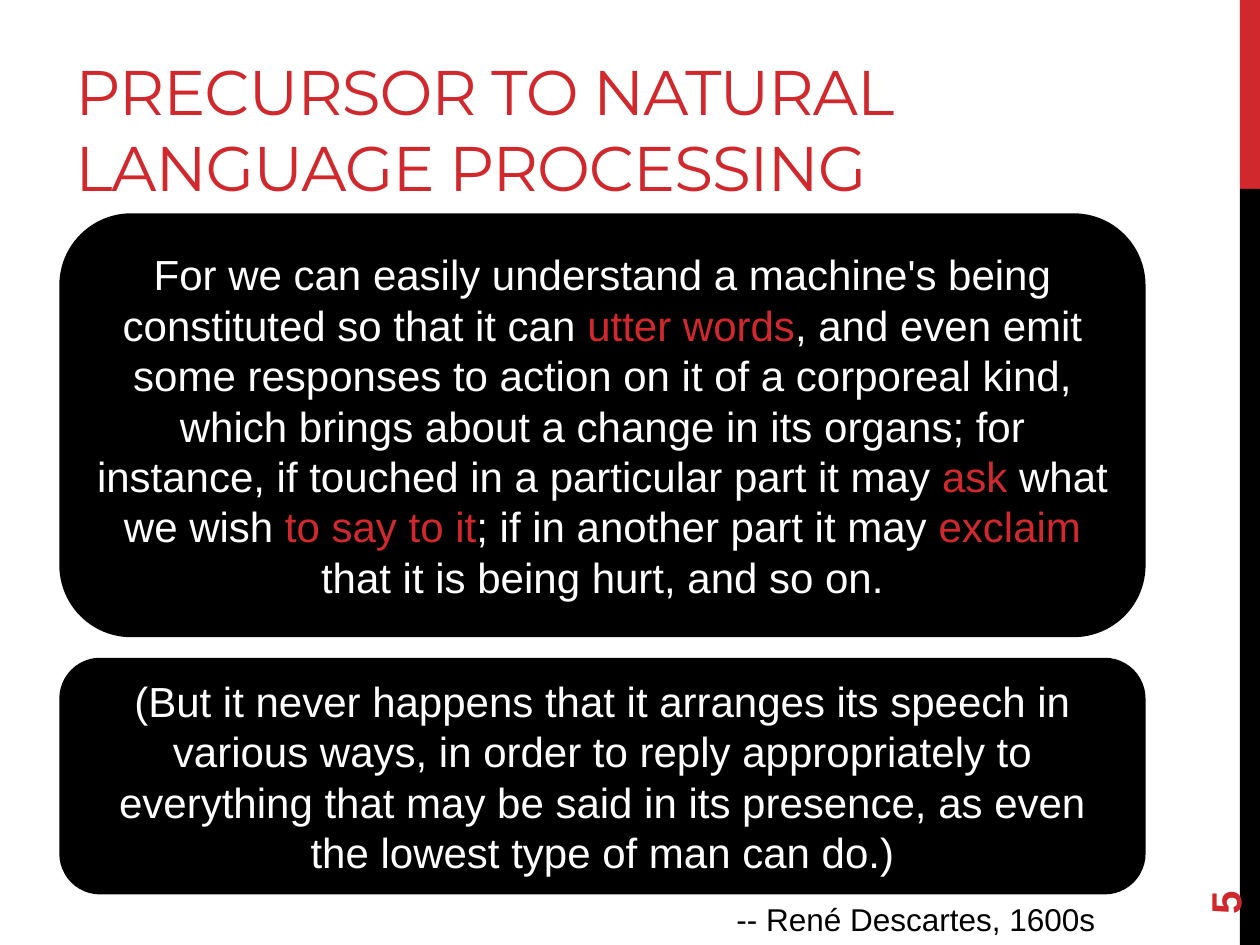
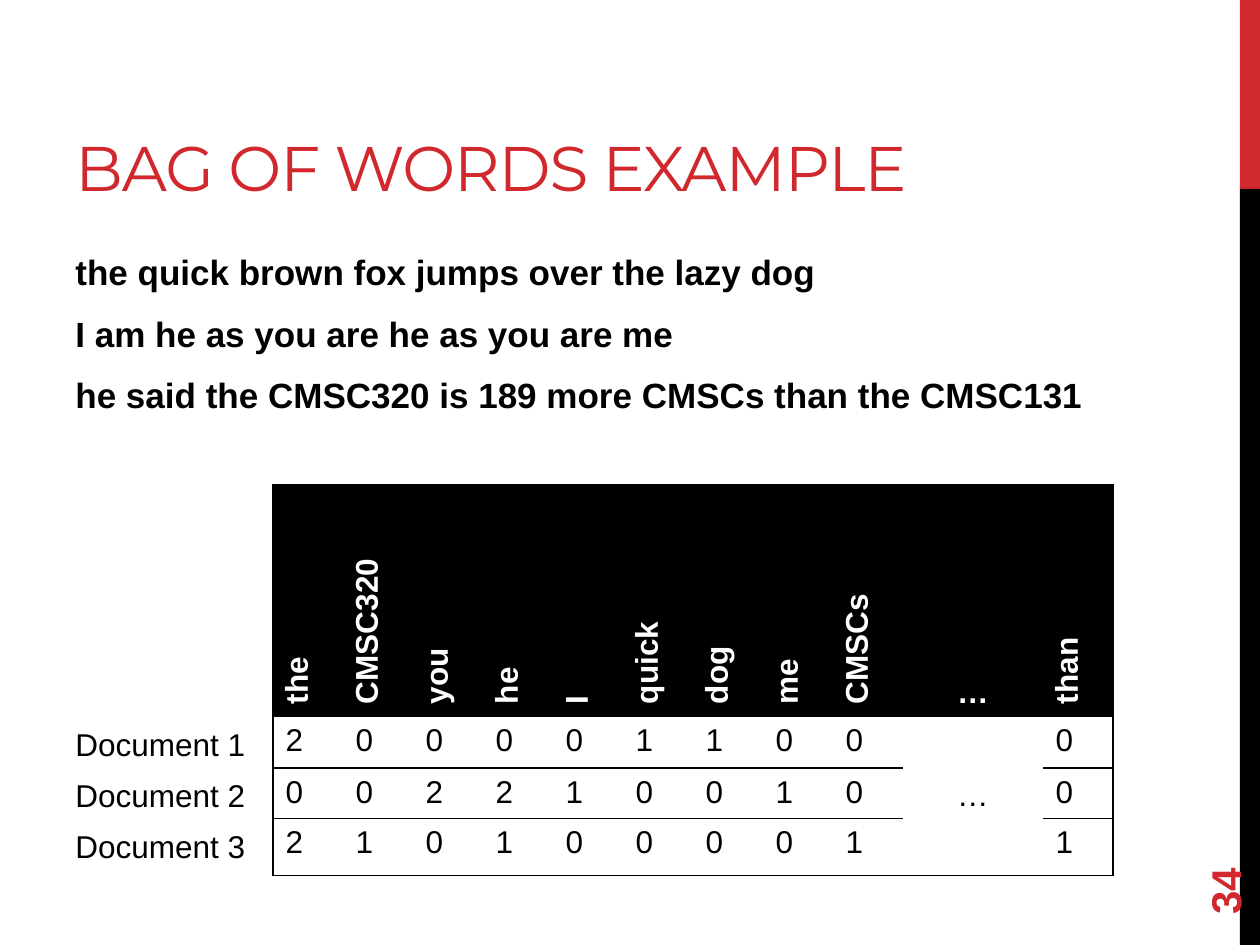
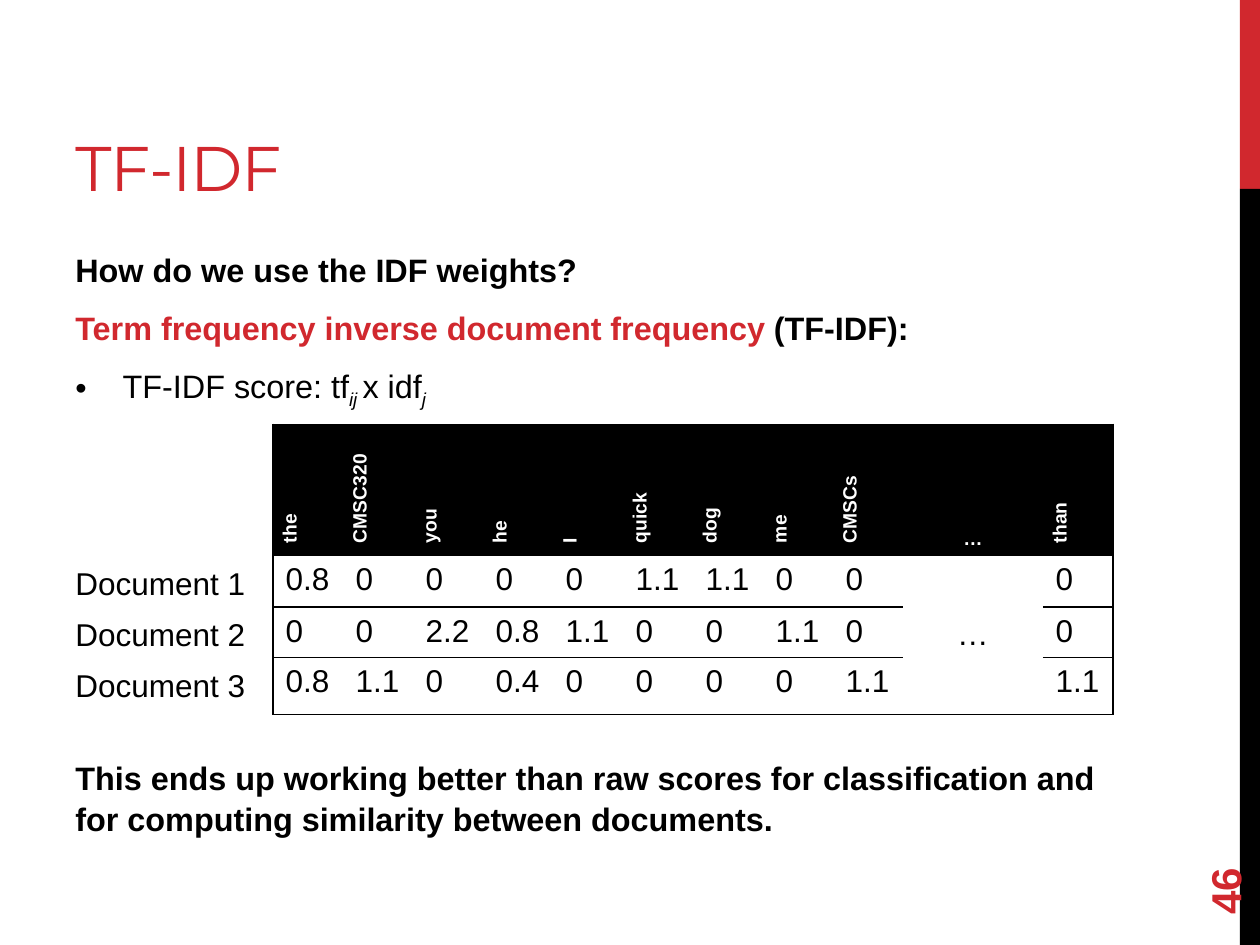
from collections import namedtuple

from lxml.etree import SubElement
from pptx import Presentation
from pptx.dml.color import RGBColor
from pptx.enum.shapes import MSO_SHAPE
from pptx.enum.text import MSO_ANCHOR, PP_ALIGN
from pptx.oxml.ns import qn
from pptx.util import Pt

Box = namedtuple("Box", "left top width height")

RED, BLACK, WHITE = "D1282E", "000000", "FFFFFF"
SLIDE = Box(0, 0, 720, 540)
BAND_WIDTH, BAND_SPLIT = 11.5, 108
CONTENT = Box(36, 138.5, 600, 344)
PLAIN_TABLE_STYLE = "{2D5ABB26-0587-4C30-8999-92F81FD0307C}"

WORDS = ["the", "CMSC320", "you", "he", "I", "quick", "dog", "me", "CMSCs", "…", "than"]
GAP = WORDS.index("…")
WORD_WIDTH = 40
COUNT_HEIGHTS = [29.5, 28, 32.5]
LABEL_WIDTH, LABEL_HEIGHT, LABEL_STEP = 114.5, 29, 29.1
TABLE_INDENT = 120

RAW_COUNTS = [
    [2, 0, 0, 0, 0, 1, 1, 0, 0, "…", 0],
    [0, 0, 2, 2, 1, 0, 0, 1, 0, "", 0],
    [2, 1, 0, 1, 0, 0, 0, 0, 1, "", 1],
]
TFIDF_SCORES = [
    [0.8, 0, 0, 0, 0, 1.1, 1.1, 0, 0, "…", 0],
    [0, 0, 2.2, 0.8, 1.1, 0, 0, 1.1, 0, "", 0],
    [0.8, 1.1, 0, 0.4, 0, 0, 0, 0, 1.1, "", 1.1],
]


def colour(value):
    return RGBColor.from_string(value)


def apply_format(target, values):
    for name, value in values.items():
        setattr(target, name, value)


def place(box):
    return [Pt(length) for length in box]


def write_runs(paragraph, runs, size, ink=BLACK, bold=False, face="Arial"):
    for text, changes in runs:
        style = {"ink": ink, "bold": bold, "italic": False, "baseline": 0, "spc": 0, **changes}
        run = paragraph.add_run()
        run.text = text
        apply_format(run.font, {"name": face, "size": Pt(size),
                                "bold": style["bold"], "italic": style["italic"]})
        run.font.color.rgb = colour(style["ink"])
        for key in ("baseline", "spc"):
            if style[key]:
                run._r.get_or_add_rPr().set(key, str(style[key]))


def add_text(slide, box, runs, size, align=PP_ALIGN.LEFT, anchor=MSO_ANCHOR.TOP, **style):
    label = slide.shapes.add_textbox(*place(box))
    apply_format(label.text_frame, {"word_wrap": True, "vertical_anchor": anchor})
    paragraph = label.text_frame.paragraphs[0]
    paragraph.alignment = align
    write_runs(paragraph, runs, size, **style)
    return label


def add_panel(slide, box, preset, fill):
    panel = slide.shapes.add_shape(preset, *place(box))
    panel.shadow.inherit = False
    panel.fill.solid()
    panel.fill.fore_color.rgb = colour(fill)
    panel.line.fill.background()
    return panel


def add_frame(slide, box, title, number, title_width):
    band_left = box.left + box.width - BAND_WIDTH
    for top, height, fill in ((0, BAND_SPLIT, RED), (BAND_SPLIT, box.height - BAND_SPLIT, BLACK)):
        add_panel(slide, Box(band_left, box.top + top, BAND_WIDTH, height), MSO_SHAPE.RECTANGLE, fill)
    add_text(slide, Box(box.left + 36, box.top + 12, title_width, BAND_SPLIT), [(title, {"spc": -60})],
             36, anchor=MSO_ANCHOR.BOTTOM, ink=RED, face="Montserrat")
    page = add_text(slide, Box(box.left + 648, box.top + 463.5, 103.5, 29), [(number, {})],
                    24, anchor=MSO_ANCHOR.MIDDLE, ink=RED, bold=True)
    page.rotation = 270


def add_quote(slide, box, runs):
    quote = add_panel(slide, box, MSO_SHAPE.ROUNDED_RECTANGLE, BLACK)
    quote.line.color.rgb = colour(BLACK)
    quote.line.width = Pt(2.25)
    apply_format(quote.text_frame, {"word_wrap": True, "vertical_anchor": MSO_ANCHOR.MIDDLE})
    paragraph = quote.text_frame.paragraphs[0]
    paragraph.alignment = PP_ALIGN.CENTER
    write_runs(paragraph, runs, 24, WHITE)


def add_bullet(paragraph, indent):
    properties = paragraph._p.get_or_add_pPr()
    properties.set("marL", str(Pt(indent)))
    properties.set("indent", str(-Pt(indent)))
    SubElement(properties, qn("a:buFont")).set("typeface", "Arial")
    SubElement(properties, qn("a:buChar")).set("char", "•")


def add_body(slide, box, points, size):
    body = slide.shapes.add_textbox(*place(box)).text_frame
    body.word_wrap = True
    for index, (runs, bulleted) in enumerate(points):
        paragraph = body.add_paragraph() if index else body.paragraphs[0]
        apply_format(paragraph, {"line_spacing": 1.05, "space_after": Pt(6),
                                 "space_before": Pt(size * 0.2 if index else 0)})
        if bulleted:
            add_bullet(paragraph, 27)
        write_runs(paragraph, runs, size, bold=not bulleted)


def draw_cell_edges(cell, row, column):
    last_row = len(COUNT_HEIGHTS)
    edges = {
        "L": column == 0,
        "R": column == len(WORDS) - 1,
        "T": row == 0 or column != GAP,
        "B": row in (1, last_row) or column != GAP,
    }
    properties = cell._tc.get_or_add_tcPr()
    for side, drawn in edges.items():
        if drawn:
            edge = SubElement(properties, qn(f"a:ln{side}"), w=str(Pt(1)))
            ink = SubElement(edge, qn("a:solidFill"))
            SubElement(ink, qn("a:srgbClr"), val=BLACK)


def add_word_table(slide, box, rows, header_height, header_size):
    heights = [header_height, *COUNT_HEIGHTS]
    widths = [WORD_WIDTH * (2 if column == GAP else 1) for column in range(len(WORDS))]
    area = Box(box.left + TABLE_INDENT, box.top, sum(widths), sum(heights))
    table = slide.shapes.add_table(len(heights), len(widths), *place(area)).table
    apply_format(table, {"first_row": False, "horz_banding": False})
    table._tbl.tblPr.find(qn("a:tableStyleId")).text = PLAIN_TABLE_STYLE
    for column, width in zip(table.columns, widths):
        column.width = Pt(width)
    for row, height in zip(table.rows, heights):
        row.height = Pt(height)
    table.cell(1, GAP).merge(table.cell(len(rows), GAP))

    for row, values in enumerate([WORDS, *rows]):
        header = row == 0
        for column, value in enumerate(values):
            cell = table.cell(row, column)
            draw_cell_edges(cell, row, column)
            cell.fill.solid()
            cell.fill.fore_color.rgb = colour(BLACK if header else WHITE)
            paragraph = cell.text_frame.paragraphs[0]
            if column == GAP:
                cell.vertical_anchor = MSO_ANCHOR.BOTTOM if header else MSO_ANCHOR.MIDDLE
                paragraph.alignment = PP_ALIGN.CENTER
            elif header:
                cell._tc.get_or_add_tcPr().set("vert", "vert270")
            if value != "":
                write_runs(paragraph, [(str(value), {})], header_size if header else 18,
                           WHITE if header else BLACK, header)

    for index in range(len(rows)):
        label_top = box.top + header_height + 1.5 + index * LABEL_STEP
        add_text(slide, Box(box.left, label_top, LABEL_WIDTH, LABEL_HEIGHT),
                 [(f"Document {index + 1}", {})], 18)


def build_precursor(slide, box):
    add_frame(slide, SLIDE, "PRECURSOR TO NATURAL LANGUAGE PROCESSING", "5", 618.5)
    red = {"ink": RED}
    add_quote(slide, Box(box.left - 1, box.top - 15.5, 618.5, 240), [
        ("For we can easily understand a machine's being constituted so that it can ", {}),
        ("utter words", red),
        (", and even emit some responses to action on it of a corporeal kind, which brings about "
         "a change in its organs; for instance, if touched in a particular part it may ", {}),
        ("ask", red),
        (" what we wish ", {}),
        ("to say to it", red),
        ("; if in another part it may ", {}),
        ("exclaim", red),
        (" that it is being hurt, and so on.", {}),
    ])
    add_text(slide, Box(box.left + 356, box.top + 372, 241, 29),
             [("-- René Descartes, 1600s", {})], 18, align=PP_ALIGN.RIGHT)
    add_quote(slide, Box(box.left - 1, box.top + 238.5, 618.5, 133), [
        ("(But it never happens that it arranges its speech in various ways, in order to reply "
         "appropriately to everything that may be said in its presence, as even the lowest type "
         "of man can do.)", {}),
    ])


def build_bag_of_words(slide, box):
    add_frame(slide, SLIDE, "BAG OF WORDS EXAMPLE", "34", 524)
    sentences = [
        "the quick brown fox jumps over the lazy dog",
        "I am he as you are he as you are me",
        "he said the CMSC320 is 189 more CMSCs than the CMSC131",
    ]
    add_body(slide, box._replace(height=115), [([(sentence, {})], False) for sentence in sentences], 20)
    add_word_table(slide, box._replace(top=box.top + 138.5), RAW_COUNTS, 132.5, 18)


def build_tfidf(slide, box):
    add_frame(slide, SLIDE, "TF-IDF", "46", 456)
    subscript = {"italic": True, "baseline": -25000}
    add_body(slide, box._replace(height=100), [
        ([("How do we use the IDF weights?", {})], False),
        ([("Term frequency inverse document frequency", {"ink": RED}), (" (TF-IDF):", {})], False),
        ([("TF-IDF score: tf", {}), ("ij ", subscript), ("x idf", {}), ("j", subscript)], True),
    ], 18.5)
    add_word_table(slide, box._replace(top=box.top + 104), TFIDF_SCORES, 75, 11)
    add_body(slide, box._replace(top=box.top + 290, height=54), [
        ([("This ends up working better than raw scores for classification and for computing "
           "similarity between documents.", {})], False),
    ], 18.5)


def main():
    deck = Presentation()
    apply_format(deck, {"slide_width": Pt(SLIDE.width), "slide_height": Pt(SLIDE.height)})
    for build in (build_precursor, build_bag_of_words, build_tfidf):
        build(deck.slides.add_slide(deck.slide_layouts[6]), CONTENT)
    deck.save("out.pptx")


if __name__ == "__main__":
    main()
